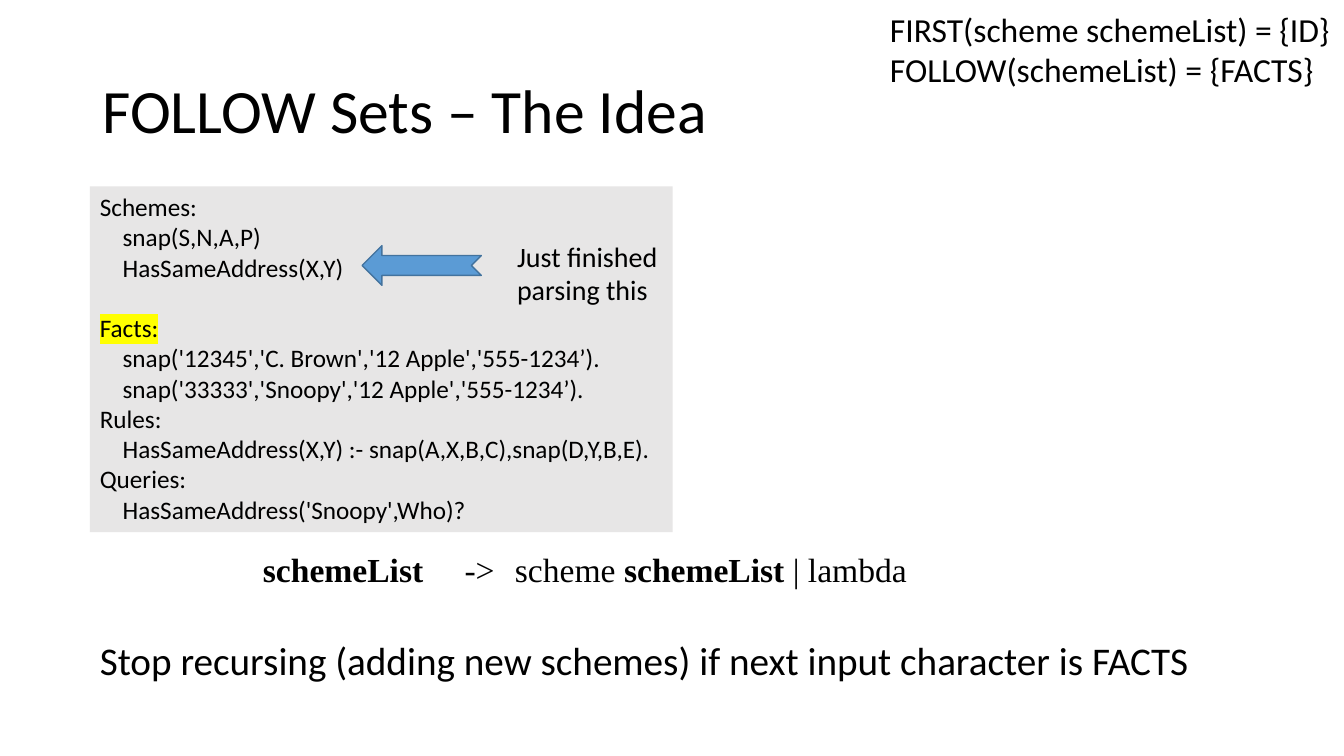
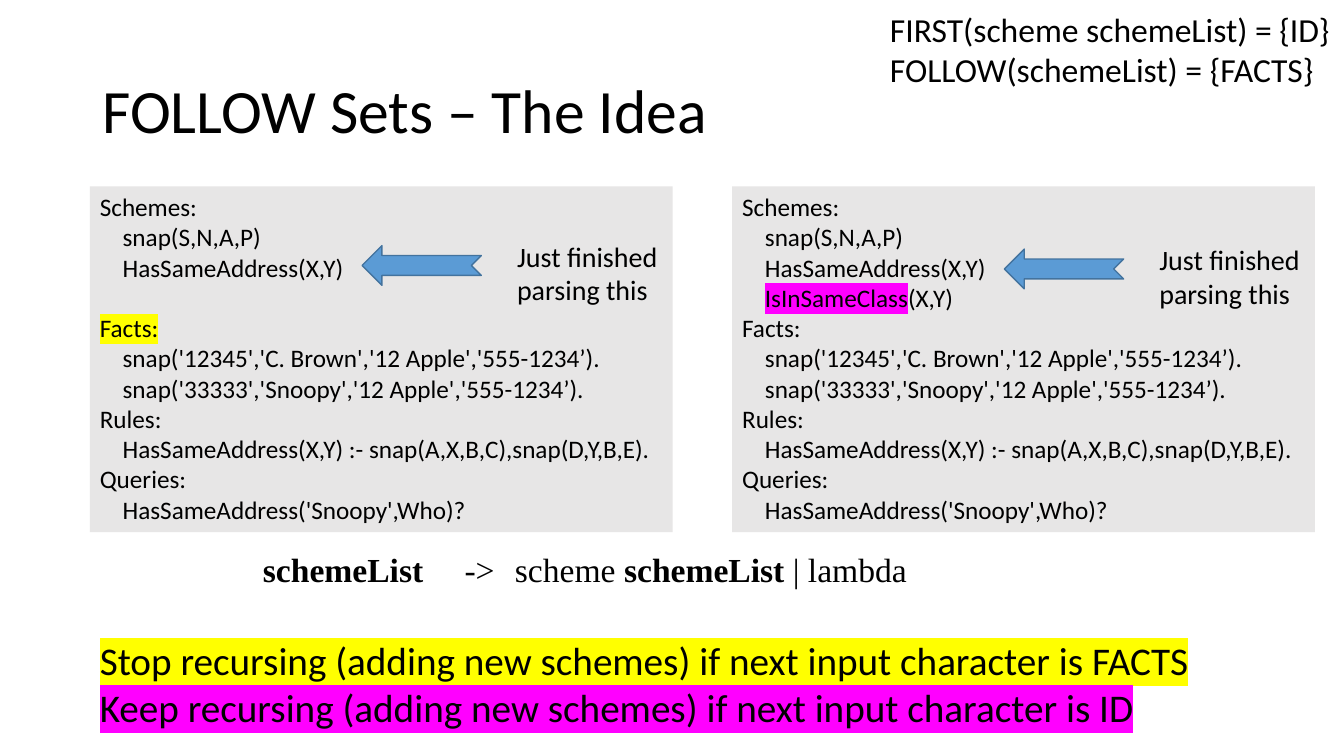
from pptx import Presentation
from pptx.util import Pt
from pptx.dml.color import RGBColor
from pptx.enum import shapes, text as txt
from pptx.oxml import ns
from lxml import etree

BLACK = RGBColor(0x00, 0x00, 0x00)
PANEL_GRAY = RGBColor(0xE7, 0xE6, 0xE6)
ARROW_BLUE = RGBColor(0x5B, 0x9B, 0xD5)
ARROW_EDGE = RGBColor(0x43, 0x73, 0x9E)
YELLOW = RGBColor(0xFF, 0xFF, 0x00)
MAGENTA = RGBColor(0xFF, 0x00, 0xFF)

# Content: a line is a list of (text, run format) pairs
TITLE = "FOLLOW Sets – The Idea"
SETS = ["FIRST(scheme schemeList) = {ID}", "FOLLOW(schemeList) = {FACTS}"]
GRAMMAR = [[("schemeList", {"bold": True}), ("\t->\tscheme ", {}),
            ("schemeList", {"bold": True}), (" | lambda", {})]]
NOTE = "Just finished parsing this"
STOP = "Stop recursing (adding new schemes) if next input character is FACTS"
KEEP = "Keep recursing (adding new schemes) if next input character is ID"

SCHEMES = ["snap(S,N,A,P)", "HasSameAddress(X,Y)"]
EXTRA_SCHEME = [("IsInSameClass", {"highlight": MAGENTA}), ("(X,Y)", {})]
FACTS = ["snap('12345','C. Brown','12 Apple','555-1234’).",
         "snap('33333','Snoopy','12 Apple','555-1234’)."]
RULES = ["HasSameAddress(X,Y) :- snap(A,X,B,C),snap(D,Y,B,E)."]
QUERIES = ["HasSameAddress('Snoopy',Who)?"]


def program(schemes, facts_heading):
    return [("Schemes:", schemes), (facts_heading, FACTS),
            ("Rules:", RULES), ("Queries:", QUERIES)]


STOP_PROGRAM = program(SCHEMES, [("Facts:", {"highlight": YELLOW})])
KEEP_PROGRAM = program(SCHEMES + [EXTRA_SCHEME], "Facts:")

# Each slide: programs shown left to right, then the conclusions
SLIDES = [
    ([STOP_PROGRAM], [STOP]),
    ([STOP_PROGRAM, KEEP_PROGRAM],
     [[(STOP, {"highlight": YELLOW})], [(KEEP, {"highlight": MAGENTA})]]),
]

# Layout, in points
LEFT, PANEL_TOP = 64.2, 133.2
PANEL_W, PANEL_H = 416.2, 247
PANEL_STEP = 458.8
NOTE_DROP = 2.5
CODE_INDENT, CODE_LINE = 16.3, 21.6
SCHEME_ROWS = 3


def add_run(paragraph, words, size, font, bold=False, highlight=None):
    run = paragraph.add_run()
    run.text = words
    run.font.size, run.font.bold = Pt(size), bold
    run.font.color.rgb = BLACK
    run.font.name = font
    if highlight is not None:
        mark = etree.Element(ns.qn("a:highlight"))
        etree.SubElement(mark, ns.qn("a:srgbClr"), val=str(highlight))
        run.font._element.find(ns.qn("a:solidFill")).addnext(mark)


def add_text(slide, box, lines, size, font="Calibri", fill=None, wrap=True,
             anchor=txt.MSO_ANCHOR.TOP, spacing=None, indents=None, gaps=None):
    """Add a text box; indents and gaps map line numbers to points."""
    shape = slide.shapes.add_textbox(*map(Pt, box))
    if fill is not None:
        shape.fill.solid()
        shape.fill.fore_color.rgb = fill
    frame = shape.text_frame
    frame.word_wrap, frame.vertical_anchor = wrap, anchor
    for number, line in enumerate(lines):
        paragraph = frame.add_paragraph() if number else frame.paragraphs[0]
        if spacing:
            paragraph.line_spacing = spacing
        if indents and indents.get(number):
            props = paragraph._p.get_or_add_pPr()
            props.set("marL", str(Pt(indents[number])))
            props.set("indent", "0")
        if gaps and gaps.get(number):
            paragraph.space_before = Pt(gaps[number])
        runs = [(line, {})] if isinstance(line, str) else line
        for words, style in runs:
            add_run(paragraph, words, size, font, **style)


def add_program(slide, sections, left):
    lines, indents, gaps = [], {}, {}
    for heading, statements in sections:
        # Keep the facts of every program on the same row
        if len(lines) == len(SCHEMES) + 1:
            gaps[len(lines)] = (SCHEME_ROWS - len(SCHEMES)) * CODE_LINE
        lines.append(heading)
        for statement in statements:
            indents[len(lines)] = CODE_INDENT
            lines.append(statement)
    add_text(slide, (left, PANEL_TOP, PANEL_W, PANEL_H), lines, 18,
             fill=PANEL_GRAY, indents=indents, gaps=gaps)


def add_pointer(slide, left, drop):
    arrow = slide.shapes.add_shape(
        shapes.MSO_SHAPE.NOTCHED_RIGHT_ARROW,
        Pt(left + 194.4), Pt(175.4 + drop), Pt(85.2), Pt(28.4))
    arrow.rotation = 180
    arrow.shadow.inherit = False
    arrow.fill.solid()
    arrow.fill.fore_color.rgb = ARROW_BLUE
    arrow.line.color.rgb = ARROW_EDGE
    arrow.line.width = Pt(1)
    add_text(slide, (left + 298, 167.2 + drop, 117.6, 55.7), [NOTE], 20)


deck = Presentation()
deck.slide_width, deck.slide_height = Pt(960), Pt(540)

for programs, conclusions in SLIDES:
    slide = deck.slides.add_slide(deck.slide_layouts[6])
    add_text(slide, (66, 28.8, 828, 104.4), [TITLE], 44,
             anchor=txt.MSO_ANCHOR.MIDDLE, spacing=0.9)

    # Programs with their pointers
    for column, sections in enumerate(programs):
        panel_left = LEFT + column * PANEL_STEP
        add_program(slide, sections, panel_left)
        add_pointer(slide, panel_left, column * NOTE_DROP)

    # Grammar rule, conclusions and sets
    add_text(slide, (180.7, 388.8, 653.8, 36), GRAMMAR, 24,
             font="Times New Roman")
    add_text(slide, (LEFT, 450.7, 801.4, 7.2 + 33.8 * len(conclusions)),
             conclusions, 28)
    add_text(slide, (628.6, 2.9, 331.2, 65.5), SETS, 24, wrap=False)

deck.save("out.pptx")
